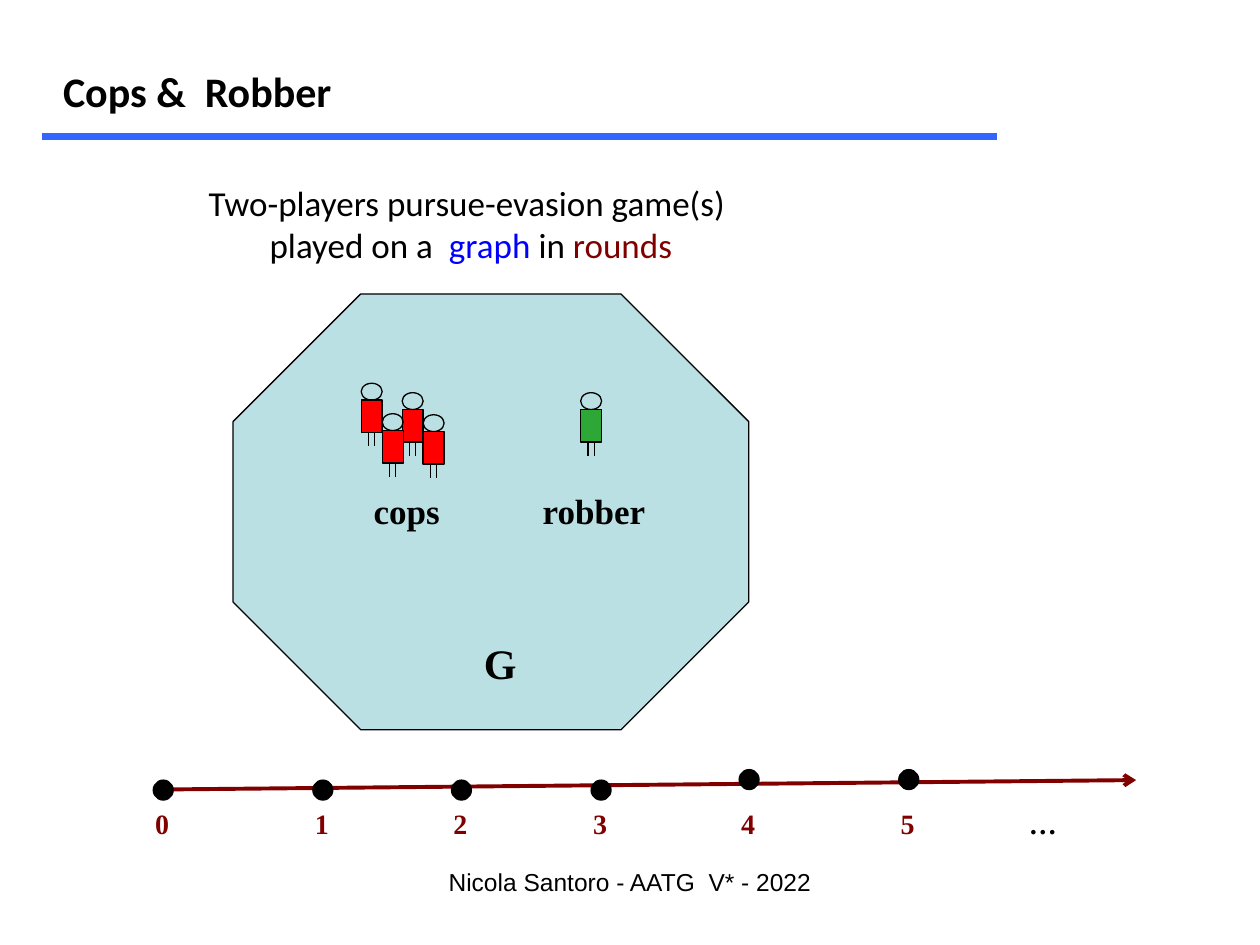
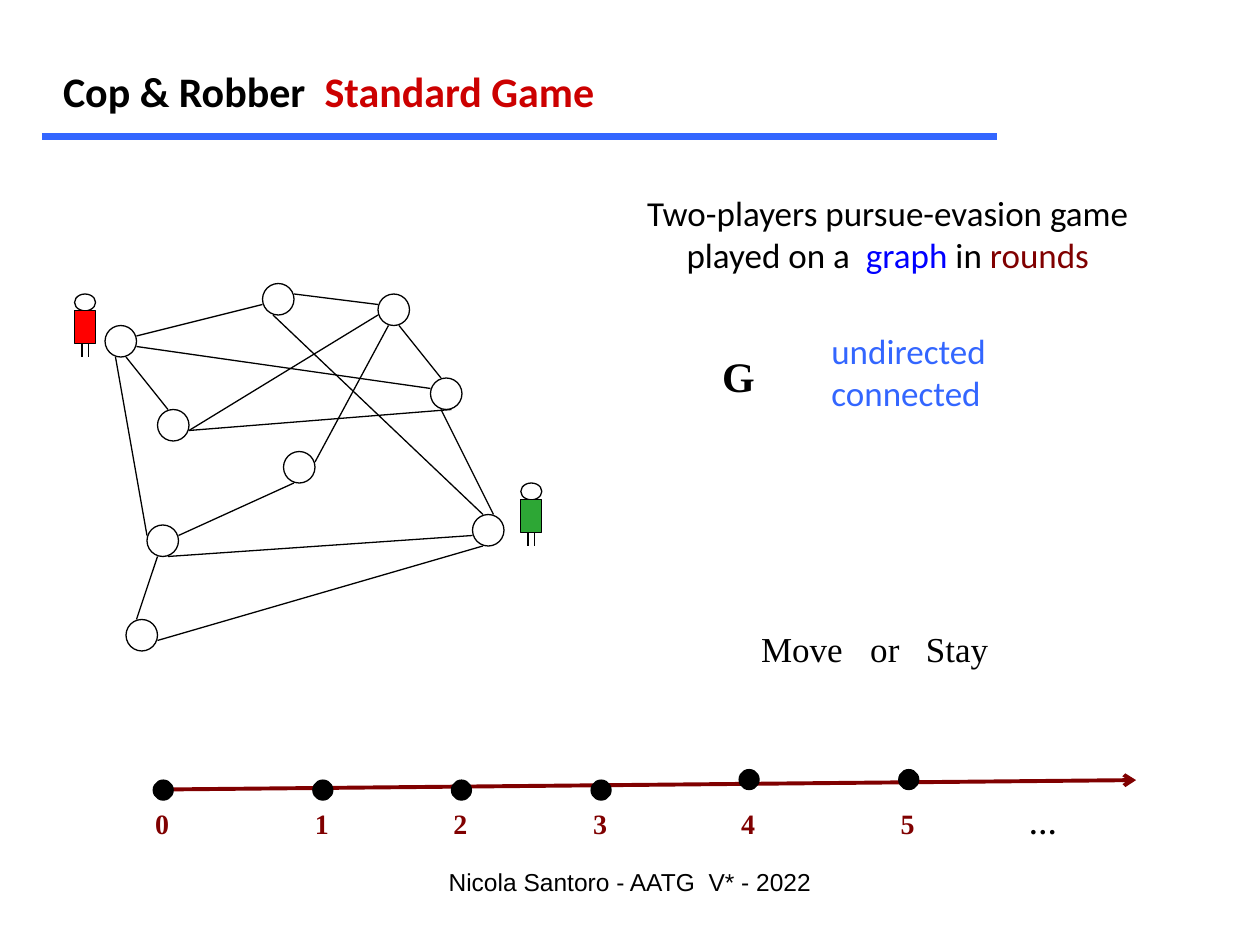
from lxml.etree import SubElement
from pptx import Presentation
from pptx.dml.color import RGBColor
from pptx.enum.shapes import MSO_CONNECTOR, MSO_SHAPE
from pptx.enum.text import MSO_ANCHOR, MSO_AUTO_SIZE, PP_ALIGN
from pptx.oxml.ns import qn
from pptx.util import Emu, Pt

SCALE = 7620  # EMU in one px, 120 px to the inch
GRID = 10     # px in one step of the graph drawing
COLORS = {
    "black": "000000", "blue": "3366FF", "graph": "0000FF", "rounds": "800000",
    "accent": "CC0000", "cop": "FF0000", "robber": "2DA735", "octagon": "BBE0E3",
}
SANS, SERIF, FOOTER = "Calibri", "Times New Roman", "Arial"

NODES = [(0, 4), (15, 0), (31, 9), (5, 12), (17, 16), (26, 1), (4, 23), (35, 22), (2, 32)]
EDGES = [
    (3, 5, 15, 2), (2, 7, 6, 12), (3, 6, 31, 10), (28, 4, 32, 9), (16, 3, 36, 22),
    (7, 24, 18, 19), (1, 7, 4, 24), (8, 14, 26, 3), (18, 1, 26, 2), (6, 26, 35, 24),
    (8, 14, 33, 12), (32, 12, 37, 22), (27, 4, 20, 17), (5, 26, 3, 32), (5, 34, 36, 25),
]
ROUNDS = [(0, 10), (152, 10), (284, 10), (417, 10), (558, 0), (710, 0)]


def px(*lengths):
    return [Emu(n * SCALE) for n in lengths]


def rgb(name):
    return RGBColor.from_string(COLORS[name])


def write(tf, paragraphs, size, font=SERIF, color="black", bold=False, align=PP_ALIGN.LEFT):
    """Fill a text frame; each paragraph is a list of (text, colour or None)."""
    for i, runs in enumerate(paragraphs):
        p = tf.add_paragraph() if i else tf.paragraphs[0]
        p.alignment = align
        p.font.name, p.font.size, p.font.bold = font, Pt(size), bold
        p.font.color.rgb = rgb(color)
        for text, run_color in runs:
            r = p.add_run()
            r.text = text
            if run_color:
                r.font.color.rgb = rgb(run_color)


def add_text(slide, box, lines, size, wrap=False, **style):
    tf = slide.shapes.add_textbox(*px(*box)).text_frame
    tf.word_wrap = wrap
    tf.auto_size = MSO_AUTO_SIZE.SHAPE_TO_FIT_TEXT
    paragraphs = [[(line, None)] if isinstance(line, str) else line for line in lines]
    write(tf, paragraphs, size, **style)


def add_shape(shapes, kind, box, fill=None):
    sp = shapes.add_shape(kind, *px(*box))
    sp.shadow.inherit = False
    if fill:
        sp.fill.solid()
        sp.fill.fore_color.rgb = rgb(fill)
    else:
        sp.fill.background()
    sp.line.color.rgb = rgb("black")
    sp.line.width = Pt(0.75)


def add_line(shapes, ends, color="black", width=0.75, arrow=False):
    line = shapes.add_connector(MSO_CONNECTOR.STRAIGHT, *px(*ends))
    line.line.color.rgb = rgb(color)
    line.line.width = Pt(width)
    if arrow:
        SubElement(line.line._get_or_add_ln(), qn("a:tailEnd"), type="arrow")
    SubElement(line._element.spPr, qn("a:effectLst"))


def add_frame(prs, title):
    """Start a slide with its title, the rule below it and the footer."""
    slide = prs.slides.add_slide(prs.slide_layouts[5])
    sp = slide.shapes.title
    sp.left, sp.top, sp.width, sp.height = px(48, 56, 900, 60)
    tf = sp.text_frame
    tf.auto_size = MSO_AUTO_SIZE.NONE
    tf.vertical_anchor = MSO_ANCHOR.TOP
    write(tf, [title], 24, font=SANS, bold=True)
    add_line(slide.shapes, (40, 130, 950, 130), "blue", 4)
    add_text(slide, (410, 820, 380, 60), ["Nicola Santoro - AATG  V* - 2022"], 14,
             wrap=True, font=FOOTER, align=PP_ALIGN.CENTER)
    return slide


def add_intro(slide, box, opening):
    second = [("played on a  ", None), ("graph", "graph"), (" in ", None), ("rounds", "rounds")]
    add_text(slide, box, [opening, second], 20, wrap=True, font=SANS, align=PP_ALIGN.CENTER)


def add_player(slide, left, top, color):
    shapes = slide.shapes.add_group_shape().shapes
    add_shape(shapes, MSO_SHAPE.OVAL, (left, top, 20, 16))
    add_shape(shapes, MSO_SHAPE.RECTANGLE, (left, top + 16, 20, 31), color)
    for leg in (left + 7, left + 13):
        add_line(shapes, (leg, top + 47, leg, top + 60))


def add_timeline(slide, left, top):
    add_line(slide.shapes, (left, top + 19, left + 936, top + 10), "rounds", 2.25, arrow=True)
    for number, (x, y) in enumerate(ROUNDS):
        add_shape(slide.shapes, MSO_SHAPE.OVAL, (left + x, top + y, 19, 19), "black")
        add_text(slide, (left + x - 10, top + 29, 37, 44), [str(number)], 16,
                 color="rounds", bold=True)
    add_text(slide, (left + 822, top + 29, 52, 44), ["…"], 16, bold=True)


def add_arena(slide, left, top):
    """Draw the octagon standing for G, with the players inside."""
    add_shape(slide.shapes, MSO_SHAPE.OCTAGON, (left, top, 491, 415), "octagon")
    add_text(slide, (left + 227, top + 321, 55, 60), ["G"], 24, bold=True)
    add_player(slide, left + 331, top + 94, "robber")
    for x, y in [(161, 94), (181, 115), (122, 85), (142, 114)]:
        add_player(slide, left + x, top + y, "cop")
    for x, width, label in [(122, 88, "cops"), (283, 122, "robber")]:
        add_text(slide, (left + x, top + 180, width, 53), [label], 20, bold=True)


def add_graph(slide, left, top):
    for x, y in NODES:
        add_shape(slide.shapes, MSO_SHAPE.OVAL,
                  (left + x * GRID, top + y * GRID, 3 * GRID, 3 * GRID))
    for x1, y1, x2, y2 in EDGES:
        add_line(slide.shapes, (left + x1 * GRID, top + y1 * GRID,
                                left + x2 * GRID, top + y2 * GRID))
    add_player(slide, left + 396, top + 190, "robber")
    add_player(slide, left - 29, top + 10, "cop")


def add_rules(slide, left, top):
    """Write the properties of G and the choices in a round."""
    add_text(slide, (left, top + 20, 55, 60), ["G"], 24, bold=True)
    add_text(slide, (left + 104, top, 180, 92), ["undirected", "connected"], 20,
             wrap=True, font=SANS, color="blue")
    for x, width, word in [(37, 106, "Move"), (141, 52, "or"), (194, 83, "Stay")]:
        add_text(slide, (left + x, top + 284, width, 53), [word], 20)


def overview_slide(prs):
    slide = add_frame(prs, [("Cops &  Robber", None)])
    add_intro(slide, (80, 167, 737, 92), "Two-players pursue-evasion game(s) ")
    add_arena(slide, 222, 280)
    add_timeline(slide, 146, 733)


def standard_game_slide(prs):
    slide = add_frame(prs, [("Cop & Robber  ", None), ("Standard Game", "accent")])
    add_graph(slide, 100, 270)
    add_intro(slide, (600, 176, 491, 92), "Two-players pursue-evasion game")
    add_rules(slide, 676, 308)
    add_timeline(slide, 146, 733)


def main():
    prs = Presentation()
    prs.slide_width, prs.slide_height = px(1200, 900)
    overview_slide(prs)
    standard_game_slide(prs)
    prs.save("out.pptx")


if __name__ == "__main__":
    main()
